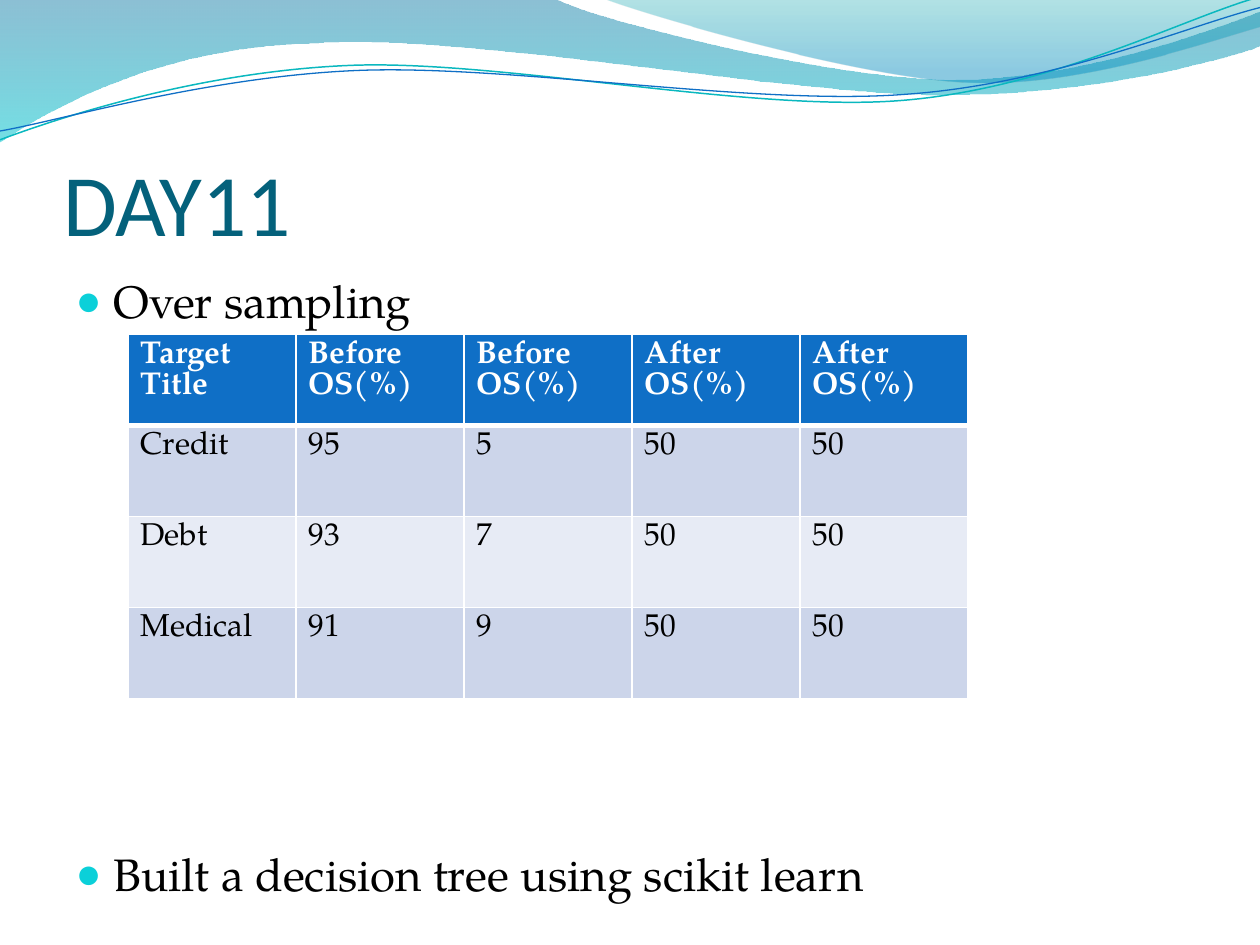
from dataclasses import dataclass

from lxml.etree import SubElement
from pptx import Presentation
from pptx.dml.color import RGBColor
from pptx.enum.text import MSO_ANCHOR, MSO_AUTO_SIZE, PP_ALIGN
from pptx.oxml.ns import qn
from pptx.util import Inches, Pt

GRID = 0.5  # inches per column and per row; the slide is 20 columns by 15 rows
HEADING_FONT, BODY_FONT = "Calibri", "TeX Gyre Pagella"
WHITE, BLACK, BLUE, TEAL = "FFFFFF", "000000", "0F6FC6", "0AB8BF"
TITLE_COLOR, BULLET_COLOR = "04617B", "0BD0D9"
ROW_BANDS = ["CCD5EA", "E7EBF5"]


@dataclass
class Box:
    col: float
    row: float
    cols: float
    rows: float

    def emu(self) -> list[int]:
        return [Inches(n * GRID) for n in (self.col, self.row, self.cols, self.rows)]


@dataclass
class Stop:
    position: float
    color: str
    opacity: int


@dataclass
class Wave:
    """Outline in inches: a two-number step is a line, a six-number step a Bézier curve."""
    start: tuple
    steps: list
    stops: tuple = ()
    line_color: str = ""
    line_width: float = 0


TITLE_BOX = Box(1, 1.54, 18, 2.5)
BODY_BOX = Box(1, 4.24, 18, 9.6)
TABLE_BOX = Box(2.03, 5.31, 13.34, 5.78)

WAVES = [
    Wave((0, 0), [
        (4.4, -0.01), (4.76, 0.17, 6.64, 0.63, 7.58, 0.63),
        (8.53, 0.63, 9.58, 0.26, 10, 0.09), (10.01, 0.36),
        (9.83, 0.44, 8.7, 0.76, 7.46, 0.75), (6.22, 0.75, 3.82, 0.28, 2.57, 0.34),
        (1.29, 0.36, 0.46, 0.83, -0.01, 1.13),
    ], stops=(Stop(0, "0074A1", 45), Stop(1, "00C6CF", 55))),
    Wave((4.79, -0.01), [
        (5.09, 0.11, 6.82, 0.62, 7.69, 0.65), (8.56, 0.69, 9.61, 0.32, 10, 0.21), (10, 0),
    ], stops=(Stop(0, "00A1A9", 30), Stop(0.8, "008BBF", 45))),
    Wave((0, 1.11), [
        (0.48, 0.93, 1.58, 0.57, 2.77, 0.52), (3.95, 0.47, 5.93, 0.89, 7.13, 0.8),
        (8.33, 0.71, 9.38, 0.15, 9.98, -0.02),
    ], line_color=TEAL, line_width=0.85),
    Wave((0, 1.04), [
        (0.47, 0.96, 1.64, 0.61, 2.83, 0.56), (4.03, 0.51, 5.97, 0.84, 7.17, 0.75),
        (8.36, 0.67, 9.41, 0.21, 10, 0.06),
    ], line_color=BLUE, line_width=0.75),
]

# Bullet text and the space before it in points; the second leaves room for the table.
BULLETS = [("Over sampling", 5.2), ("Built a decision tree using scikit learn", 296)]

SAMPLING = [
    ["Target\nTitle", "Before\nOS(%)", "Before\nOS(%)", "After\nOS(%)", "After\nOS(%)"],
    ["Credit", "95", "5", "50", "50"],
    ["Debt", "93", "7", "50", "50"],
    ["Medical", "91", "9", "50", "50"],
]


def rgb(color: str) -> RGBColor:
    return RGBColor.from_string(color)


def add_run(paragraph, text: str, font: str, size: float, color: str, bold=False) -> None:
    run = paragraph.add_run()
    run.text = text
    run.font.name, run.font.size, run.font.bold = font, Pt(size), bold
    run.font.color.rgb = rgb(color)


def bend(shape, steps: list) -> None:
    """Join the three line segments of each six-number step into one curve."""
    segments = iter(list(shape.element.iter(qn("a:lnTo"))))
    for step in steps:
        first = next(segments)
        if len(step) == 2:
            continue
        curve = first.makeelement(qn("a:cubicBezTo"))
        first.addprevious(curve)
        for segment in (first, next(segments), next(segments)):
            curve.append(segment[0])
            segment.getparent().remove(segment)


def draw_wave(shapes, wave: Wave) -> None:
    builder = shapes.build_freeform(*map(Inches, wave.start))
    points = [(Inches(step[i]), Inches(step[i + 1]))
              for step in wave.steps for i in range(0, len(step), 2)]
    builder.add_line_segments(points, close=bool(wave.stops))
    shape = builder.convert_to_shape()
    bend(shape, wave.steps)
    shape.shadow.inherit = False
    if not wave.stops:
        shape.fill.background()
        shape.line.color.rgb = rgb(wave.line_color)
        shape.line.width = Pt(wave.line_width)
        return
    shape.line.fill.background()
    shape.fill.gradient()
    shape.fill.gradient_angle = 270
    for gradient_stop, stop in zip(shape.fill.gradient_stops, wave.stops):
        gradient_stop.position = stop.position
        gradient_stop.color.rgb = rgb(stop.color)
    colors = shape.element.spPr.iter(qn("a:srgbClr"))
    for color, stop in zip(list(colors), wave.stops):
        SubElement(color, qn("a:alpha"), val=str(stop.opacity * 1000))


def place(placeholder, box: Box):
    placeholder.left, placeholder.top, placeholder.width, placeholder.height = box.emu()
    placeholder.text_frame.auto_size = MSO_AUTO_SIZE.NONE
    return placeholder.text_frame


def write_title(placeholder, text: str) -> None:
    frame = place(placeholder, TITLE_BOX)
    frame.vertical_anchor = MSO_ANCHOR.BOTTOM
    frame.margin_left = frame.margin_right = frame.margin_bottom = 0
    frame.paragraphs[0].alignment = PP_ALIGN.LEFT
    add_run(frame.paragraphs[0], text, HEADING_FONT, 50, TITLE_COLOR)


def write_bullets(placeholder) -> None:
    frame = place(placeholder, BODY_BOX)
    for i, (text, space) in enumerate(BULLETS):
        paragraph = frame.add_paragraph() if i else frame.paragraphs[0]
        paragraph.space_before = Pt(space)
        props = paragraph._p.get_or_add_pPr()
        props.set("marL", str(Inches(0.3)))
        props.set("indent", str(-Inches(0.3)))
        SubElement(SubElement(props, qn("a:buClr")), qn("a:srgbClr"), val=BULLET_COLOR)
        SubElement(props, qn("a:buSzPct"), val="95000")
        SubElement(props, qn("a:buChar"), char="●")
        add_run(paragraph, text, BODY_FONT, 26, BLACK)


def border(cell, side: str, width: float) -> None:
    line = SubElement(cell._tc.get_or_add_tcPr(), qn(f"a:ln{side}"), w=str(Pt(width)))
    SubElement(SubElement(line, qn("a:solidFill")), qn("a:srgbClr"), val=WHITE)


def draw_table(shapes) -> None:
    table = shapes.add_table(len(SAMPLING), len(SAMPLING[0]), *TABLE_BOX.emu()).table
    for r, values in enumerate(SAMPLING):
        header = r == 0
        for c, value in enumerate(values):
            cell = table.cell(r, c)
            for side in "LRTB":
                thick = (header and side == "B") or (r == 1 and side == "T")
                border(cell, side, 3 if thick else 1)
            cell.fill.solid()
            cell.fill.fore_color.rgb = rgb(BLUE if header else ROW_BANDS[(r - 1) % 2])
            frame = cell.text_frame
            for i, text in enumerate(value.split("\n")):
                paragraph = frame.add_paragraph() if i else frame.paragraphs[0]
                add_run(paragraph, text, BODY_FONT, 18, WHITE if header else BLACK, header)


def main() -> None:
    deck = Presentation()
    deck.slide_width, deck.slide_height = Inches(20 * GRID), Inches(15 * GRID)
    slide = deck.slides.add_slide(deck.slide_layouts[1])
    title, body = slide.placeholders
    for wave in WAVES:
        draw_wave(slide.shapes, wave)
    for placeholder in (title, body):
        slide.shapes.element.append(placeholder.element)
    write_title(title, "DAY11")
    write_bullets(body)
    draw_table(slide.shapes)
    deck.save("out.pptx")


if __name__ == "__main__":
    main()
